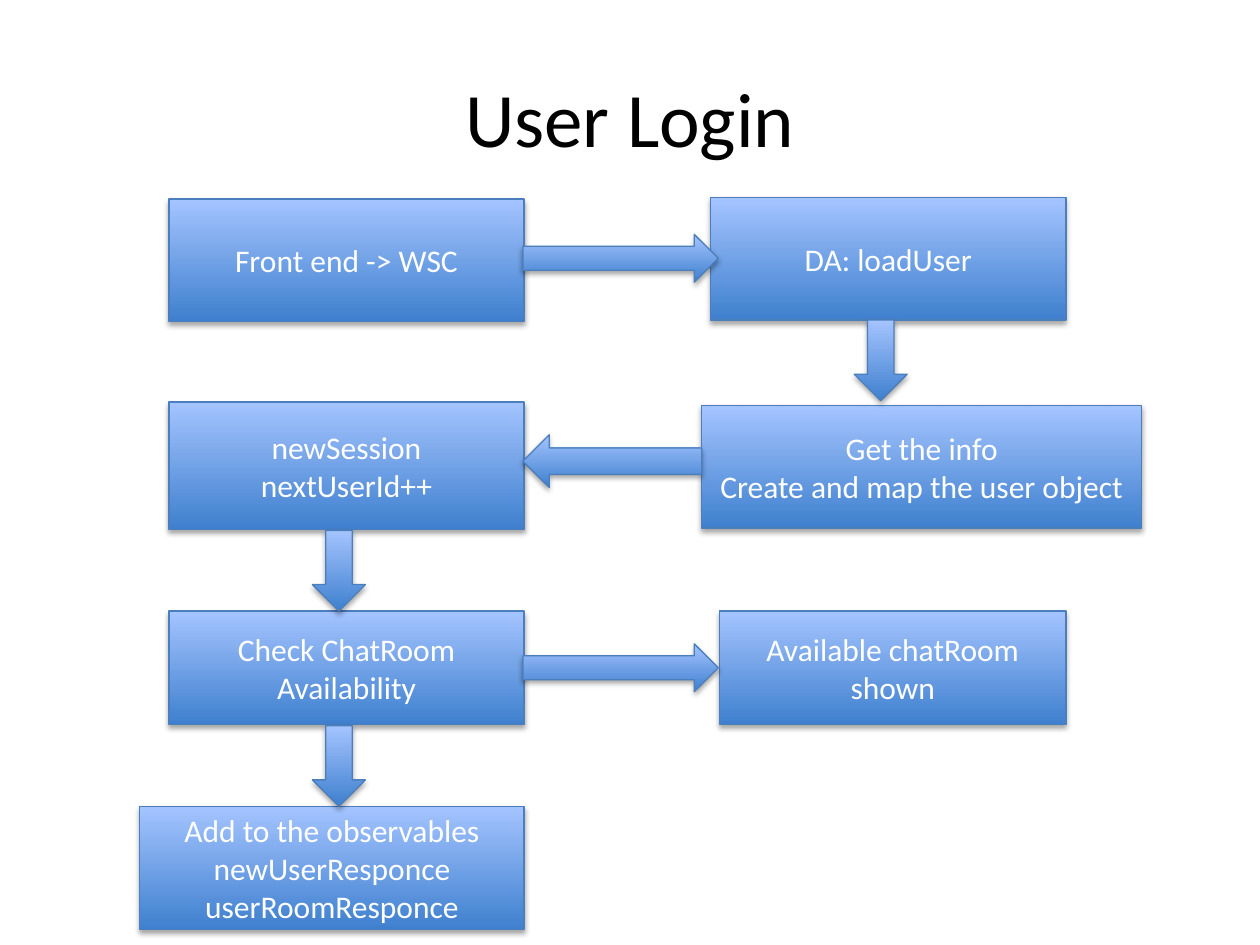
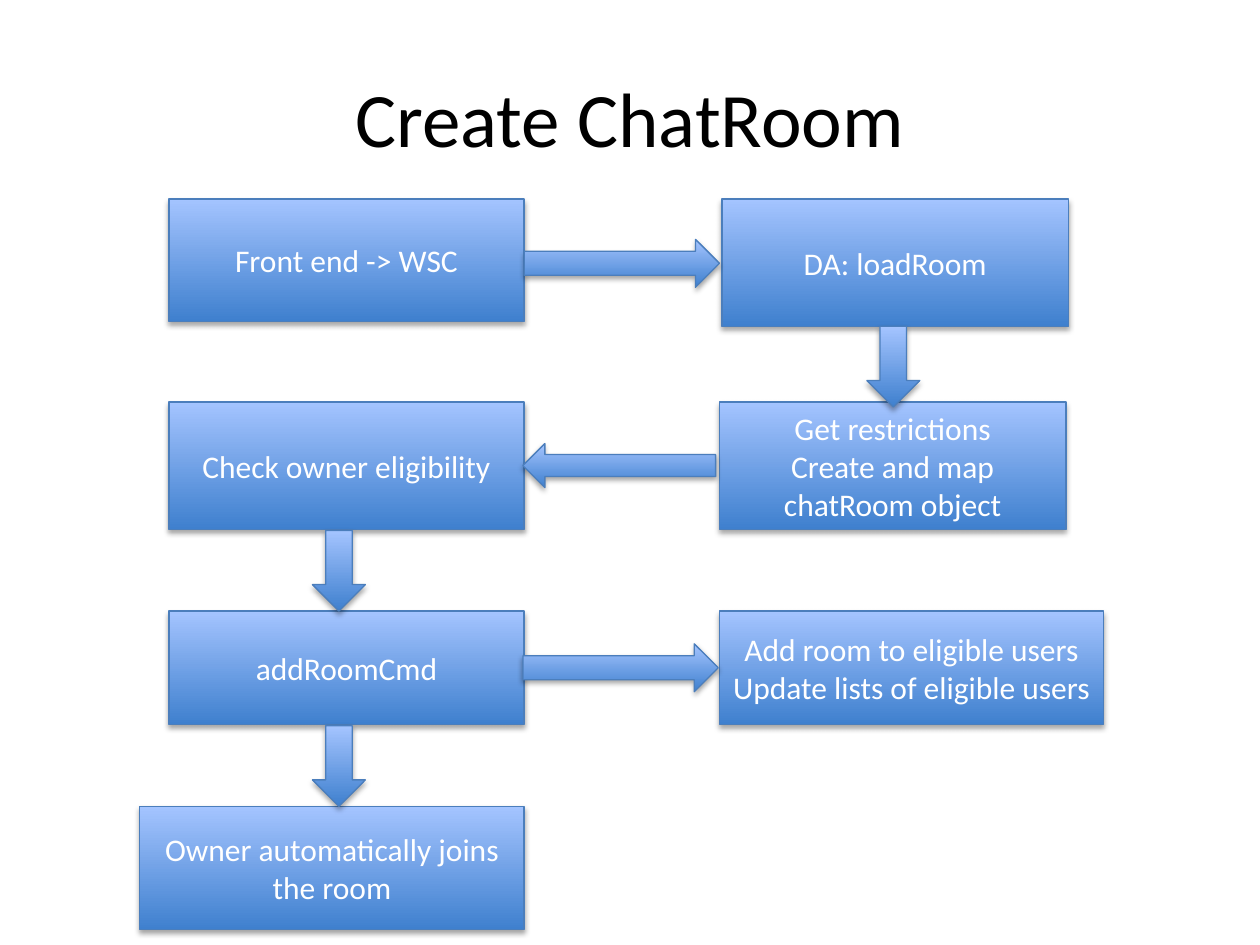
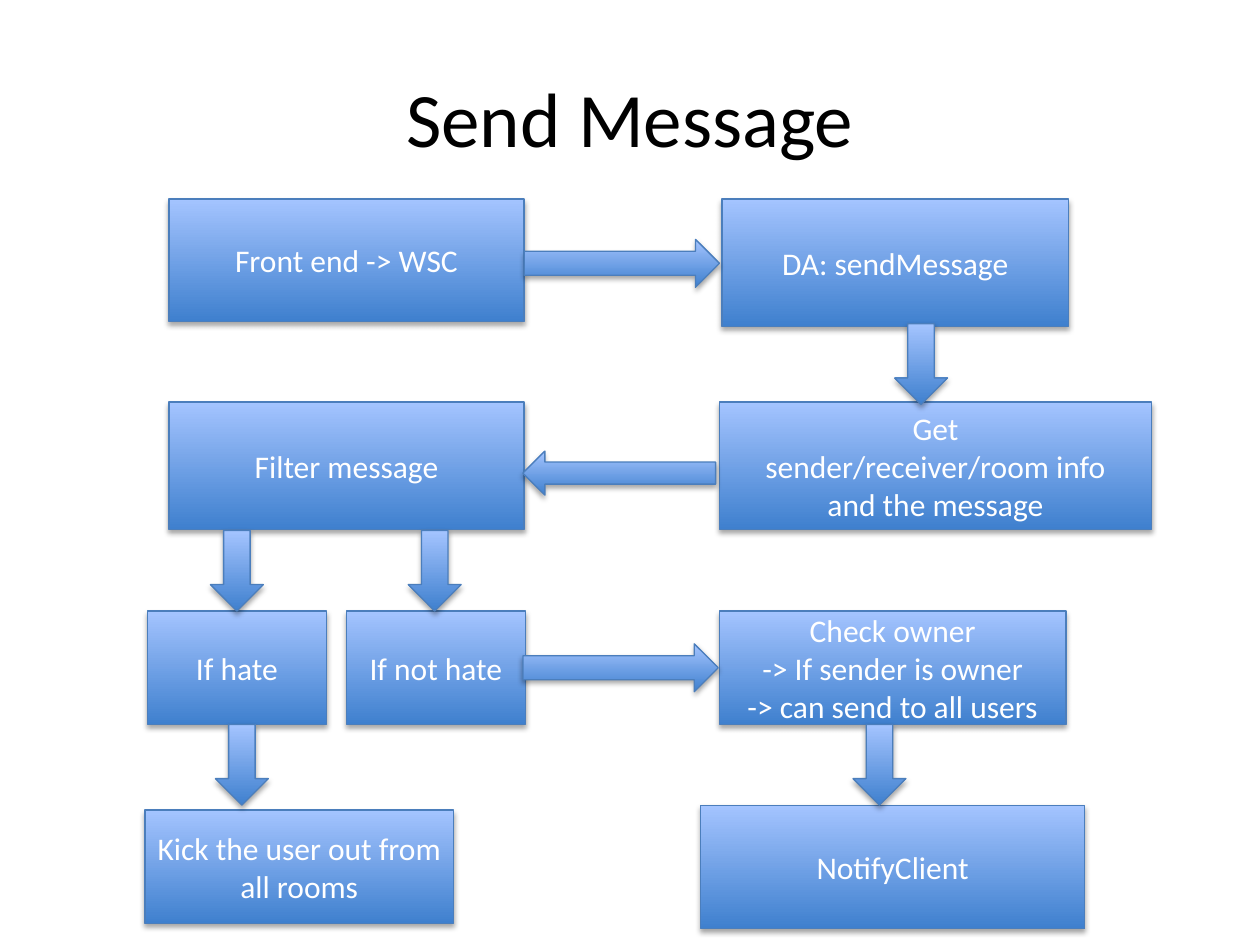
"""Build three flow-chart slides about a chat server: login, room creation and messaging."""
from lxml.etree import SubElement
from pptx import Presentation
from pptx.dml.color import RGBColor
from pptx.enum.shapes import MSO_SHAPE as Shape
from pptx.enum.text import MSO_ANCHOR as Anchor, PP_ALIGN as Align
from pptx.oxml.ns import qn
from pptx.util import Inches, Pt

FONT = "Calibri"
BLACK, WHITE, EDGE = "000000", "FFFFFF", "4B7EBC"
GRADIENT = ("3F80CE", "A4C4FF")

ROWS = {"start": (1.58, 0.97), "load": (1.58, 1.01), "check": (3.19, 1.01),
        "act": (4.85, 0.9), "finish": (6.4, 0.98),
        "user load": (1.57, 0.97), "user info": (3.22, 0.97),
        "notify": (6.39, 0.98), "kick": (6.43, 0.9)}
COLUMNS = {"left": (1.34, 2.82), "right": (5.71, 2.75), "load": (5.73, 2.75),
           "finish": (1.11, 3.05), "user load": (5.64, 2.82),
           "user info": (5.57, 3.49), "room update": (5.71, 3.05),
           "message info": (5.71, 3.43), "hate": (1.17, 1.42),
           "not hate": (2.75, 1.42), "kick": (1.15, 2.45), "notify": (5.56, 3.05)}
ARROWS = {"down": (Shape.DOWN_ARROW, 0.42, 0.64),
          "right": (Shape.RIGHT_ARROW, 1.55, 0.38),
          "left": (Shape.LEFT_ARROW, 1.53, 0.35),
          "short left": (Shape.LEFT_ARROW, 1.42, 0.42)}

SLIDES = [
    {"title": "User Login",
     "boxes": [("left", "start", "Front end -> WSC"),
               ("left", "check", "newSession\nnextUserId++"),
               ("left", "act", "Check ChatRoom Availability"),
               ("finish", "finish",
                "Add to the observables\nnewUserResponce\nuserRoomResponce"),
               ("user info", "user info",
                "Get the info\nCreate and map the user object"),
               ("right", "act", "Available chatRoom shown"),
               ("user load", "user load", "DA: loadUser")],
     "arrows": [("down", 2.48, 4.21), ("down", 2.48, 5.76), ("right", 4.15, 5.11),
                ("down", 6.78, 2.54), ("right", 4.15, 1.86),
                ("short left", 4.15, 3.45)]},
    {"title": "Create ChatRoom",
     "boxes": [("left", "start", "Front end -> WSC"),
               ("left", "check", "Check owner eligibility"),
               ("left", "act", "addRoomCmd"),
               ("finish", "finish", "Owner automatically joins the room"),
               ("right", "check",
                "Get restrictions\nCreate and map chatRoom object"),
               ("room update", "act",
                "Add room to eligible users\nUpdate lists of eligible users"),
               ("load", "load", "DA: loadRoom")],
     "arrows": [("down", 2.48, 4.21), ("down", 2.48, 5.76), ("right", 4.15, 5.11),
                ("right", 4.16, 1.9), ("down", 6.88, 2.59), ("left", 4.15, 3.52)]},
    {"title": "Send Message",
     "boxes": [("left", "start", "Front end -> WSC"),
               ("left", "check", "Filter message"),
               ("not hate", "act", "If not hate"),
               ("notify", "notify", "NotifyClient"),
               ("message info", "check",
                "Get\nsender/receiver/room info\nand the message"),
               ("right", "act",
                "Check owner\n-> If sender is owner\n-> can send to all users"),
               ("load", "load", "DA: sendMessage"),
               ("hate", "act", "If hate"),
               ("kick", "kick", "Kick the user out from all rooms")],
     "arrows": [("down", 3.24, 4.21), ("down", 6.77, 5.75), ("right", 4.16, 1.9),
                ("down", 7.1, 2.57), ("left", 4.15, 3.58), ("right", 4.15, 5.11),
                ("down", 1.67, 4.21), ("down", 1.71, 5.75)]},
]


def paint(color, value):
    color.rgb = RGBColor.from_string(value)


def write(shape, text, size, color):
    frame = shape.text_frame
    frame.text = text
    frame.word_wrap = True
    frame.vertical_anchor = Anchor.MIDDLE
    for para in frame.paragraphs:
        para.alignment = Align.CENTER
        for span in para.runs:
            span.font.name, span.font.size = FONT, Pt(size)
            paint(span.font.color, color)


def add_shadow(shape):
    shape.shadow.inherit = False
    effects = shape._element.spPr.find(qn("a:effectLst"))
    outer = SubElement(effects, qn("a:outerShdw"), blurRad=str(Pt(3.1)),
                       dist=str(Pt(1.8)), dir="5400000", rotWithShape="0")
    tint = SubElement(outer, qn("a:srgbClr"), val=BLACK)
    SubElement(tint, qn("a:alpha"), val="35000")


def add_block(page, kind, left, top, width, height):
    block = page.shapes.add_shape(kind, *map(Inches, (left, top, width, height)))
    block.fill.gradient()
    block.fill.gradient_angle = 90
    for stop, value in zip(block.fill.gradient_stops, GRADIENT):
        paint(stop.color, value)
    paint(block.line.color, EDGE)
    block.line.width = Pt(0.75)
    add_shadow(block)
    return block


def add_title(page, text):
    title = page.shapes.title
    title.left, title.top, title.width, title.height = map(Inches, (0.5, 0.3, 9, 1.25))
    write(title, text, 44, BLACK)


deck = Presentation()
deck.slide_width, deck.slide_height = Inches(10), Inches(7.5)
for content in SLIDES:
    page = deck.slides.add_slide(deck.slide_layouts.get_by_name("Title Only"))
    add_title(page, content["title"])
    for column, row, text in content["boxes"]:
        (left, width), (top, height) = COLUMNS[column], ROWS[row]
        box = add_block(page, Shape.RECTANGLE, left, top, width, height)
        write(box, text, 18, WHITE)
    for name, left, top in content["arrows"]:
        kind, width, height = ARROWS[name]
        add_block(page, kind, left, top, width, height)
deck.save("out.pptx")
